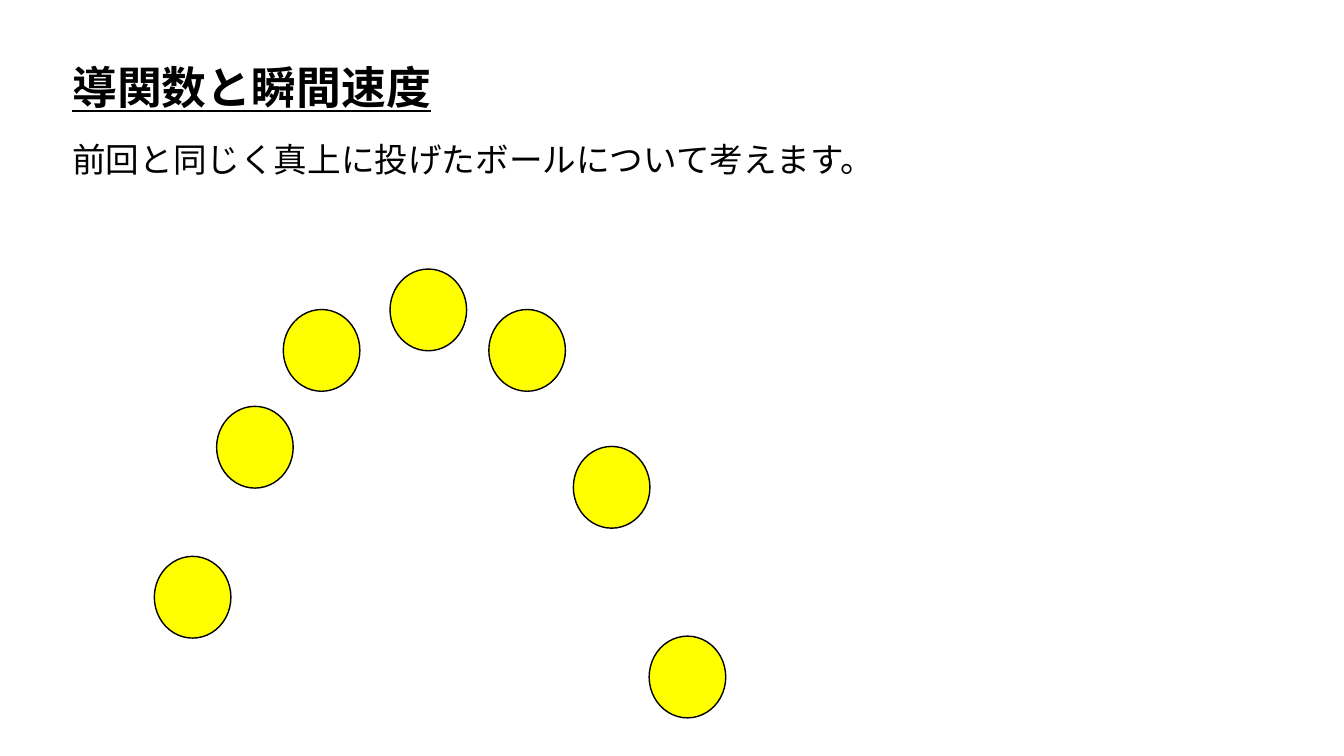
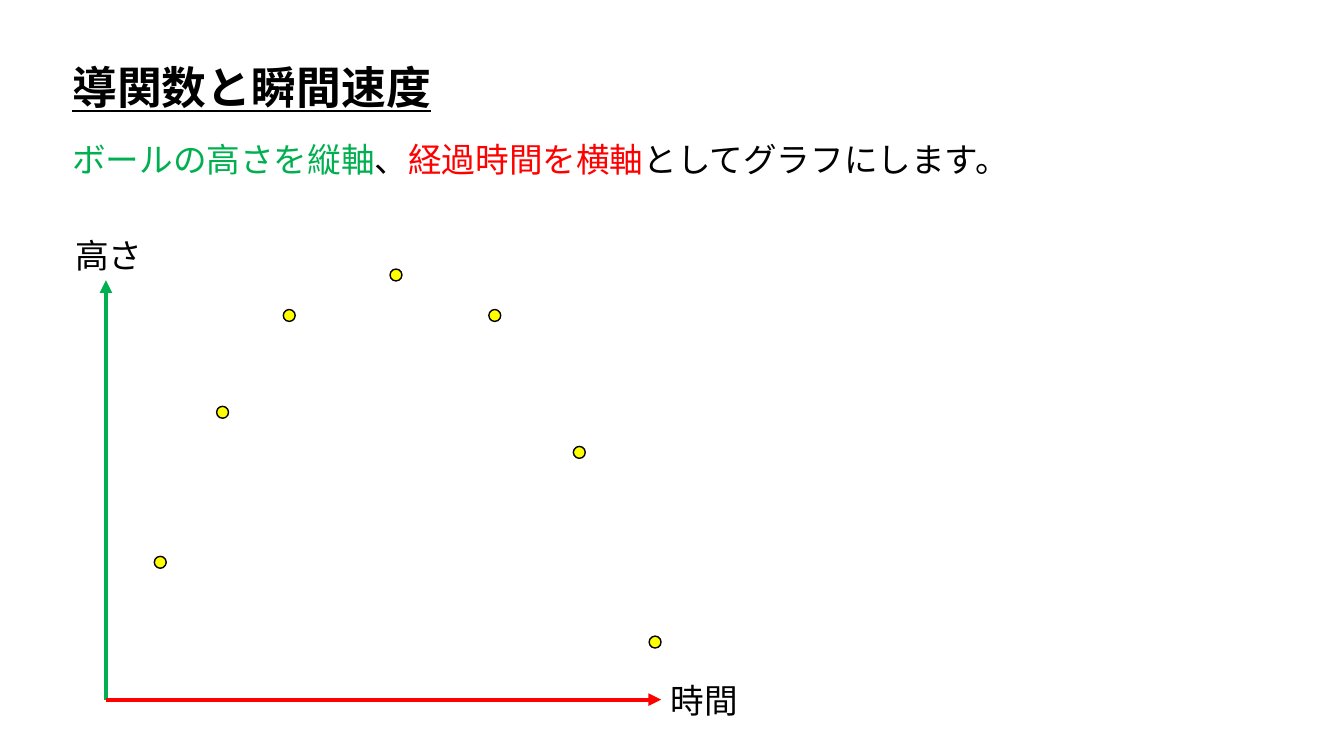
from dataclasses import dataclass
from typing import Any

import pptx
import pptx.dml.color
import pptx.enum.shapes
import pptx.enum.text
import pptx.oxml.ns
import pptx.util
from lxml import etree

Cm = pptx.util.Cm
Pt = pptx.util.Pt
qn = pptx.oxml.ns.qn

FONT = "Noto Sans CJK JP"
BLACK, GREEN, RED, YELLOW = "000000", "00B050", "FF0000", "FFFF00"
TITLE = "導関数と瞬間速度"
LEFT = 1.57


@dataclass(frozen=True)
class Span:
    text: str
    color: str = BLACK
    size: float = 24
    strong: bool = False


@dataclass(frozen=True)
class Box:
    left: float
    top: float
    width: float
    height: float

    def lengths(self) -> list[int]:
        return [Cm(v) for v in (self.left, self.top, self.width, self.height)]


@dataclass(frozen=True)
class Point:
    x: float
    y: float


BALLS = [
    Point(3.89, 14.02),
    Point(5.46, 10.24),
    Point(7.14, 7.8),
    Point(9.83, 6.78),
    Point(12.32, 7.8),
    Point(14.45, 11.25),
    Point(16.36, 16.03),
]
ORIGIN = Point(2.67, 17.63)
HEIGHT_TIP = Point(2.67, 7.06)
TIME_TIP = Point(16.66, 17.63)


def rgb(color: str) -> pptx.dml.color.RGBColor:
    return pptx.dml.color.RGBColor.from_string(color)


def write(sp: Any, spans: list[Span]) -> None:
    tf = sp.text_frame
    tf.auto_size = pptx.enum.text.MSO_AUTO_SIZE.NONE
    tf.word_wrap = False
    tf.vertical_anchor = pptx.enum.text.MSO_ANCHOR.MIDDLE
    p = tf.paragraphs[0]
    p.alignment = pptx.enum.text.PP_ALIGN.LEFT
    p.space_before = Pt(0)
    for span in spans:
        r = p.add_run()
        r.text = span.text
        r.font.name = FONT
        r.font.size = Pt(span.size)
        r.font.bold = span.strong
        r.font.underline = span.strong
        r.font.color.rgb = rgb(span.color)
        etree.SubElement(r.font._element, qn("a:ea"), typeface=FONT)


def place(sp: Any, box: Box) -> None:
    sp.left, sp.top, sp.width, sp.height = box.lengths()


def add_slide(prs: Any, spans: list[Span], width: float) -> Any:
    s = prs.slides.add_slide(prs.slide_layouts[1])
    title, body = s.placeholders
    place(title, Box(LEFT, 1.37, 9.63, 1.63))
    write(title, [Span(TITLE, size=32, strong=True)])
    place(body, Box(LEFT, 3.38, width, 1.27))
    pPr = body.text_frame.paragraphs[0]._p.get_or_add_pPr()
    pPr.set("marL", "0")
    pPr.set("indent", "0")
    etree.SubElement(pPr, qn("a:buNone"))
    write(body, spans)
    return s


def add_balls(s: Any, width: float, height: float) -> None:
    for ball in BALLS:
        sp = s.shapes.add_shape(
            pptx.enum.shapes.MSO_SHAPE.OVAL,
            *Box(ball.x, ball.y, width, height).lengths(),
        )
        sp.shadow.inherit = False
        sp.fill.solid()
        sp.fill.fore_color.rgb = rgb(YELLOW)
        sp.line.color.rgb = rgb(BLACK)
        sp.line.width = Pt(1)


def add_axis(s: Any, tip: Point, color: str) -> Any:
    axis = s.shapes.add_connector(
        pptx.enum.shapes.MSO_CONNECTOR.STRAIGHT,
        Cm(ORIGIN.x), Cm(ORIGIN.y), Cm(tip.x), Cm(tip.y),
    )
    axis.line.color.rgb = rgb(color)
    axis.line.width = Pt(3)
    etree.SubElement(axis.line._get_or_add_ln(), qn("a:tailEnd"), type="triangle")
    etree.SubElement(axis._element.spPr, qn("a:effectLst"))
    return axis


def add_label(s: Any, text: str, left: float, top: float) -> Any:
    sp = s.shapes.add_textbox(*Box(left, top, 2.24, 1.26).lengths())
    write(sp, [Span(text)])
    return sp


def main() -> None:
    prs = pptx.Presentation()
    prs.slide_width, prs.slide_height = Cm(33.87), Cm(19.05)

    s = add_slide(prs, [Span("前回と同じく真上に投げたボールについて考えます。")], 21.03)
    add_balls(s, 1.93, 2.06)

    s = add_slide(
        prs,
        [
            Span("ボールの高さを縦軸", GREEN),
            Span("、"),
            Span("経過時間を横軸", RED),
            Span("としてグラフにします。"),
        ],
        25.3,
    )
    add_balls(s, 0.3, 0.3)
    add_axis(s, HEIGHT_TIP, GREEN)
    time_axis = add_axis(s, TIME_TIP, RED)
    add_label(s, "高さ", 1.65, 5.8)
    time_label = add_label(s, "時間", TIME_TIP.x, 17)
    time_axis.end_connect(time_label, 1)

    prs.save("out.pptx")


if __name__ == "__main__":
    main()
